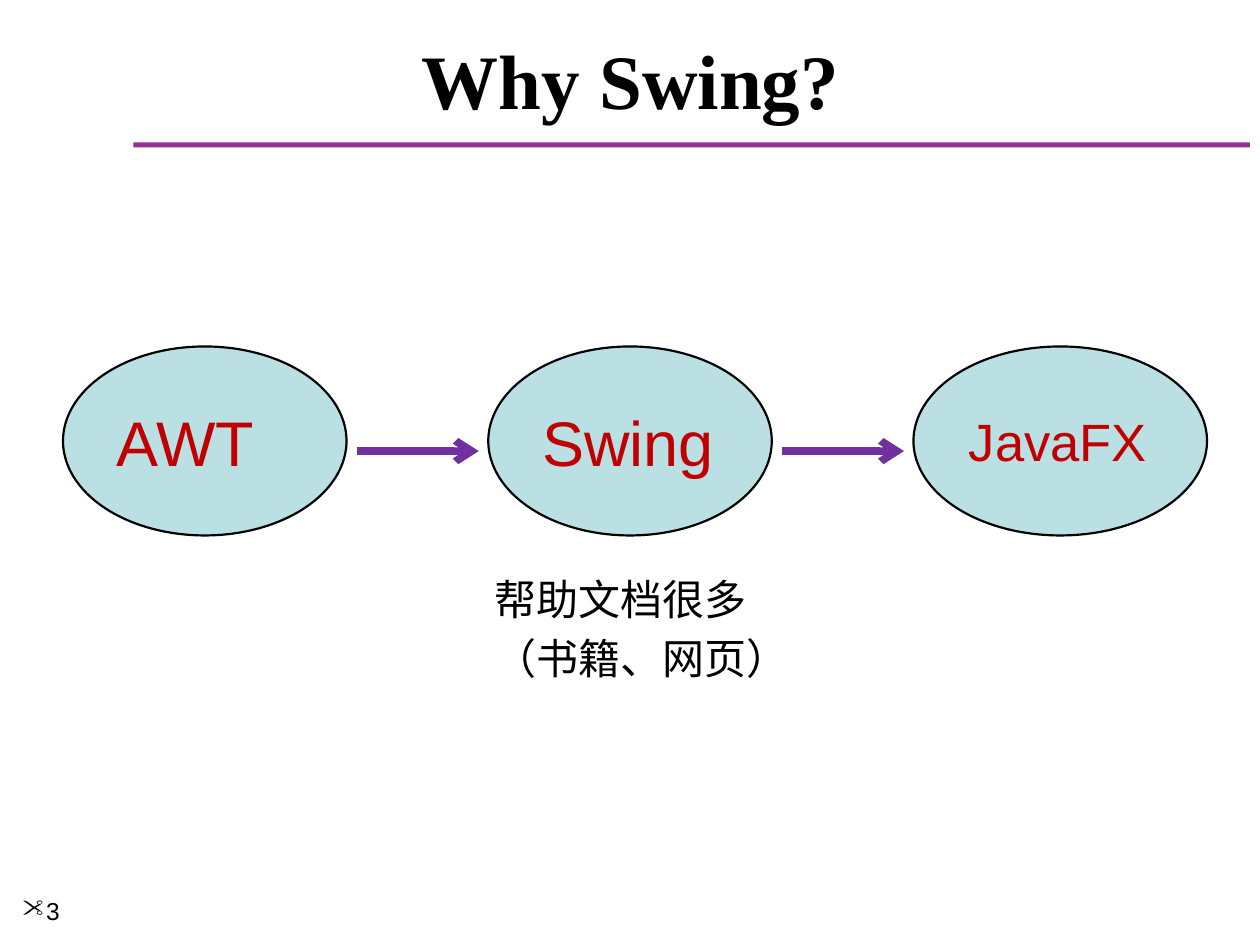
"""Build the "Why Swing?" slide: three Java GUI toolkits in order of appearance."""
from lxml.etree import SubElement
from pptx import Presentation
from pptx.dml.color import RGBColor
from pptx.enum.shapes import MSO_CONNECTOR, MSO_SHAPE
from pptx.enum.text import MSO_ANCHOR, PP_ALIGN
from pptx.oxml.ns import qn
from pptx.util import Inches, Pt

COLORS = {"rule": "973095", "ellipse": "BBE0E3", "name": "C00000",
          "arrow": "7030A0", "text": "000000"}
TITLE = "Why Swing?"
TOOLKITS = [("AWT", 36, 2.25), ("Swing", 36, 2.25), ("JavaFX", 30, 2.33)]
NOTES = ["帮助文档很多", "（书籍、网页）"]
PAGE_NUMBER = "3"
PAGE_BULLET = {"font": "Wingdings", "char": '"'}

WIDTH, HEIGHT = 10, 7.5
FIRST_LEFT, COLUMN_STEP = 0.5, 3.375
ELLIPSE_TOP, ELLIPSE_HEIGHT = 2.75, 1.5
ARROW_Y, ARROW_START, ARROW_LENGTH = 3.58, 2.33, 0.97
SPACE_SHARE = 0.2


def color(name):
    return RGBColor.from_string(COLORS[name])


def write(shape, lines, size, ink="text", font="Arial", bold=False,
          align=PP_ALIGN.LEFT, anchor=MSO_ANCHOR.TOP, space=0):
    frame = shape.text_frame
    frame.text = "\n".join(lines)
    frame.word_wrap = True
    frame.vertical_anchor = anchor
    for paragraph in frame.paragraphs:
        paragraph.alignment = align
        paragraph.space_before = Pt(size * space)
        run_font = paragraph.runs[0].font
        for name, value in {"size": Pt(size), "name": font, "bold": bold}.items():
            setattr(run_font, name, value)
        run_font.color.rgb = color(ink)
    return shape


def add_text(slide, place, lines, size, **formats):
    box = slide.shapes.add_textbox(*map(Inches, place))
    return write(box, lines, size, **formats)


def add_filled(slide, kind, place, fill):
    shape = slide.shapes.add_shape(kind, *map(Inches, place))
    shape.shadow.inherit = False
    shape.fill.solid()
    shape.fill.fore_color.rgb = color(fill)
    shape.line.fill.background()
    return shape


def add_toolkit(slide, column, name, size, width):
    left = FIRST_LEFT + column * COLUMN_STEP
    place = (left, ELLIPSE_TOP, width, ELLIPSE_HEIGHT)
    ellipse = add_filled(slide, MSO_SHAPE.OVAL, place, "ellipse")
    ellipse.line.color.rgb = color("text")
    ellipse.line.width = Pt(1.25)
    write(ellipse, [name], size, ink="name", anchor=MSO_ANCHOR.MIDDLE, space=SPACE_SHARE)


def add_arrow(slide, column):
    start = FIRST_LEFT + column * COLUMN_STEP + ARROW_START
    ends = (start, ARROW_Y, start + ARROW_LENGTH, ARROW_Y)
    arrow = slide.shapes.add_connector(MSO_CONNECTOR.STRAIGHT, *map(Inches, ends))
    arrow.line.color.rgb = color("arrow")
    arrow.line.width = Pt(4.25)
    SubElement(arrow.line._get_or_add_ln(), qn("a:tailEnd"), type="arrow")
    SubElement(arrow._element.spPr, qn("a:effectLst"))


def add_page_number(slide):
    box = add_text(slide, (0.08, 7.06, 1.08, 0.44), [PAGE_NUMBER], 14)
    properties = box.text_frame.paragraphs[0]._p.get_or_add_pPr()
    SubElement(properties, qn("a:buFont"), typeface=PAGE_BULLET["font"])
    SubElement(properties, qn("a:buChar"), char=PAGE_BULLET["char"])


def main():
    presentation = Presentation()
    presentation.slide_width = Inches(WIDTH)
    presentation.slide_height = Inches(HEIGHT)
    slide = presentation.slides.add_slide(presentation.slide_layouts[6])
    add_filled(slide, MSO_SHAPE.RECTANGLE, (1.06, 1.13, 8.86, 0.04), "rule")
    add_text(slide, (0.17, 0.25, 9.67, 0.75), [TITLE], 44, font="Times New Roman",
             bold=True, align=PP_ALIGN.CENTER, anchor=MSO_ANCHOR.MIDDLE)
    add_page_number(slide)
    for column, toolkit in enumerate(TOOLKITS):
        add_toolkit(slide, column, *toolkit)
    for column in range(len(TOOLKITS) - 1):
        add_arrow(slide, column)
    add_text(slide, (3.83, 4.5, 2.56, 0.99), NOTES, 24, space=SPACE_SHARE)
    presentation.save("out.pptx")


if __name__ == "__main__":
    main()
